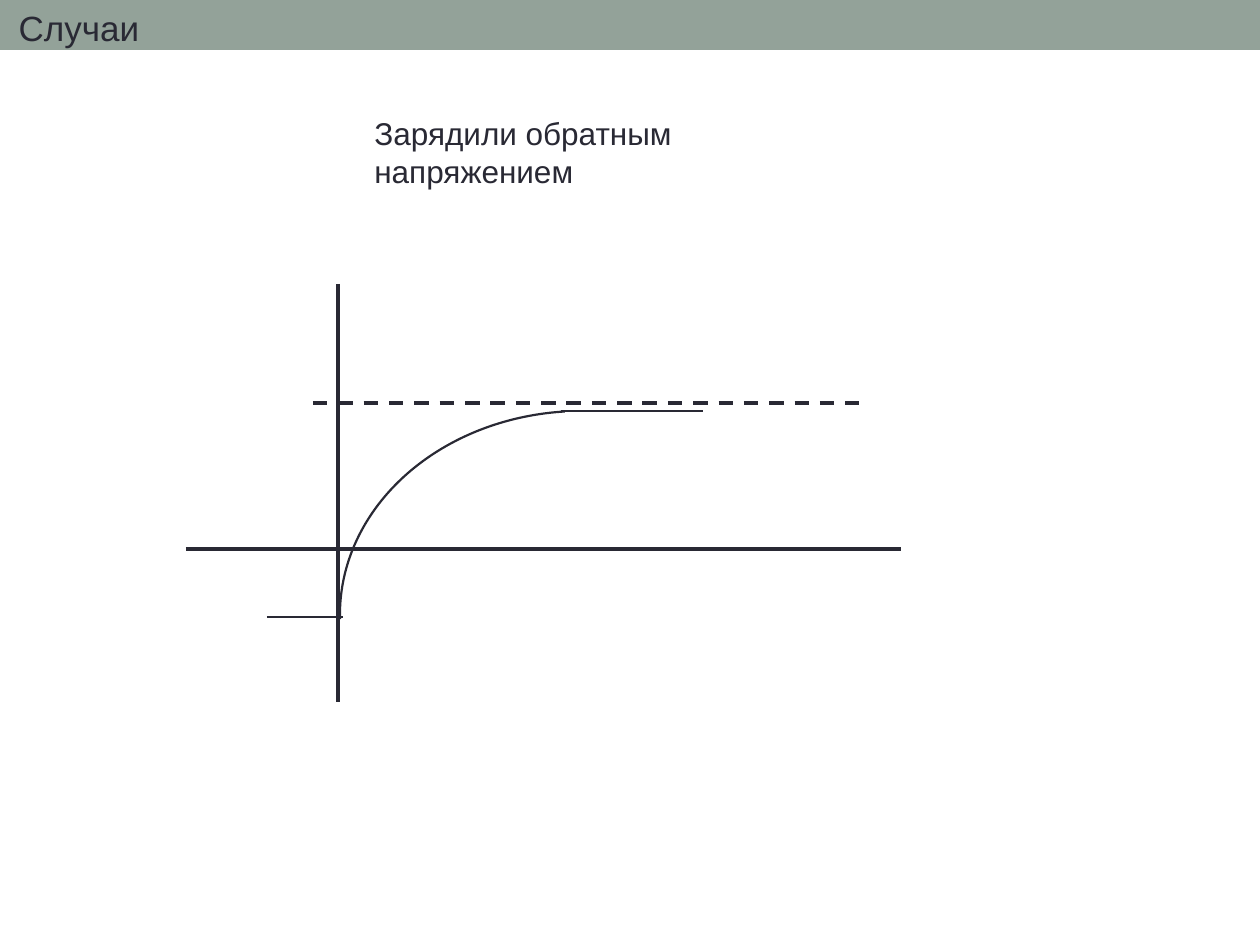
from dataclasses import dataclass

from lxml import etree
from pptx import Presentation
from pptx import util as u
from pptx.dml.color import RGBColor
from pptx.enum import dml, shapes, text
from pptx.oxml import ns


@dataclass(frozen=True)
class Theme:
    """Colours, type sizes and line widths of the slide."""
    ink: RGBColor = RGBColor.from_string("292934")
    band: RGBColor = RGBColor.from_string("93A299")
    font: str = "Arial"
    title: int = 20
    caption: int = 18
    axis: float = 2.08
    curve: float = 1.25


class Board:
    """Draws themed elements on the current slide, measured in px."""

    def __init__(self, slide, theme):
        """Keep the slide and its style."""
        self.slide = slide
        self.theme = theme

    @staticmethod
    def px(*lengths):
        """Turn px into EMU."""
        return [u.Emu(round(length * u.Inches(1) / 126)) for length in lengths]

    def band(self, *box):
        """Place the header band behind everything else."""
        shape = self.slide.shapes.add_shape(shapes.MSO_SHAPE.RECTANGLE, *self.px(*box))
        shape.shadow.inherit = False
        shape.fill.solid()
        shape.fill.fore_color.rgb = self.theme.band
        shape.line.fill.background()
        self.slide.shapes._spTree.insert(2, shape._element)

    def set_text(self, shape, words, size, wrap):
        """Set left-aligned text from the top of a shape."""
        frame = shape.text_frame
        frame.word_wrap = wrap
        frame.auto_size = text.MSO_AUTO_SIZE.SHAPE_TO_FIT_TEXT
        frame.vertical_anchor = text.MSO_ANCHOR.TOP
        paragraph = frame.paragraphs[0]
        paragraph.alignment = text.PP_ALIGN.LEFT
        run = paragraph.add_run()
        run.text = words
        run.font.name = self.theme.font
        run.font.size = u.Pt(size)
        run.font.color.rgb = self.theme.ink

    def title(self, words, *box):
        """Fill and move the title placeholder."""
        shape = self.slide.shapes.title
        shape.left, shape.top, shape.width, shape.height = self.px(*box)
        self.set_text(shape, words, self.theme.title, False)

    def caption(self, words, *box):
        """Add a wrapped text box."""
        shape = self.slide.shapes.add_textbox(*self.px(*box))
        self.set_text(shape, words, self.theme.caption, True)

    def stroke(self, shape, width):
        """Style an outline."""
        shape.line.color.rgb = self.theme.ink
        shape.line.width = u.Pt(width)

    def line(self, parent, ends, width, dash=None):
        """Add a straight line to the slide or a group."""
        connector = parent.shapes.add_connector(shapes.MSO_CONNECTOR.STRAIGHT, *self.px(*ends))
        self.stroke(connector, width)
        if dash:
            connector.line.dash_style = dash
        etree.SubElement(connector._element.spPr, ns.qn("a:effectLst"))

    def arc(self, parent, box, start, end, width):
        """Add a horizontally mirrored arc between two angles in degrees."""
        shape = parent.shapes.add_shape(shapes.MSO_SHAPE.ARC, *self.px(*box))
        shape.shadow.inherit = False
        shape.fill.background()
        self.stroke(shape, width)
        for index, angle in enumerate((start, end)):
            shape.adjustments[index] = angle * 0.6
        shape._element.spPr.get_or_add_xfrm().set("flipH", "1")

    def graph(self):
        """Draw the axes, the limit and the charging curve."""
        theme = self.theme
        group = self.slide.shapes.add_group_shape()
        self.line(group, (338, 284, 338, 702), theme.axis)
        self.line(group, (186, 549, 901, 549), theme.axis)
        self.line(group, (313, 403, 859, 403), theme.axis, dml.MSO_LINE.DASH)
        self.line(group, (561, 411, 703, 411), theme.curve)
        self.arc(group, (340, 411, 484, 407), 274.83, 1.11, theme.curve)
        self.line(self.slide, (267, 617, 343, 617), theme.curve)


def main():
    """Build and save the slide."""
    presentation = Presentation()
    presentation.slide_width, presentation.slide_height = Board.px(1260, 945)
    slide = presentation.slides.add_slide(presentation.slide_layouts[5])
    board = Board(slide, Theme())
    board.band(0, 0, 1260, 50)
    board.title("Случаи", 6, 0, 147, 55)
    board.caption("Зарядили обратным напряжением", 362, 108, 498, 50)
    board.graph()
    presentation.save("out.pptx")


if __name__ == "__main__":
    main()
